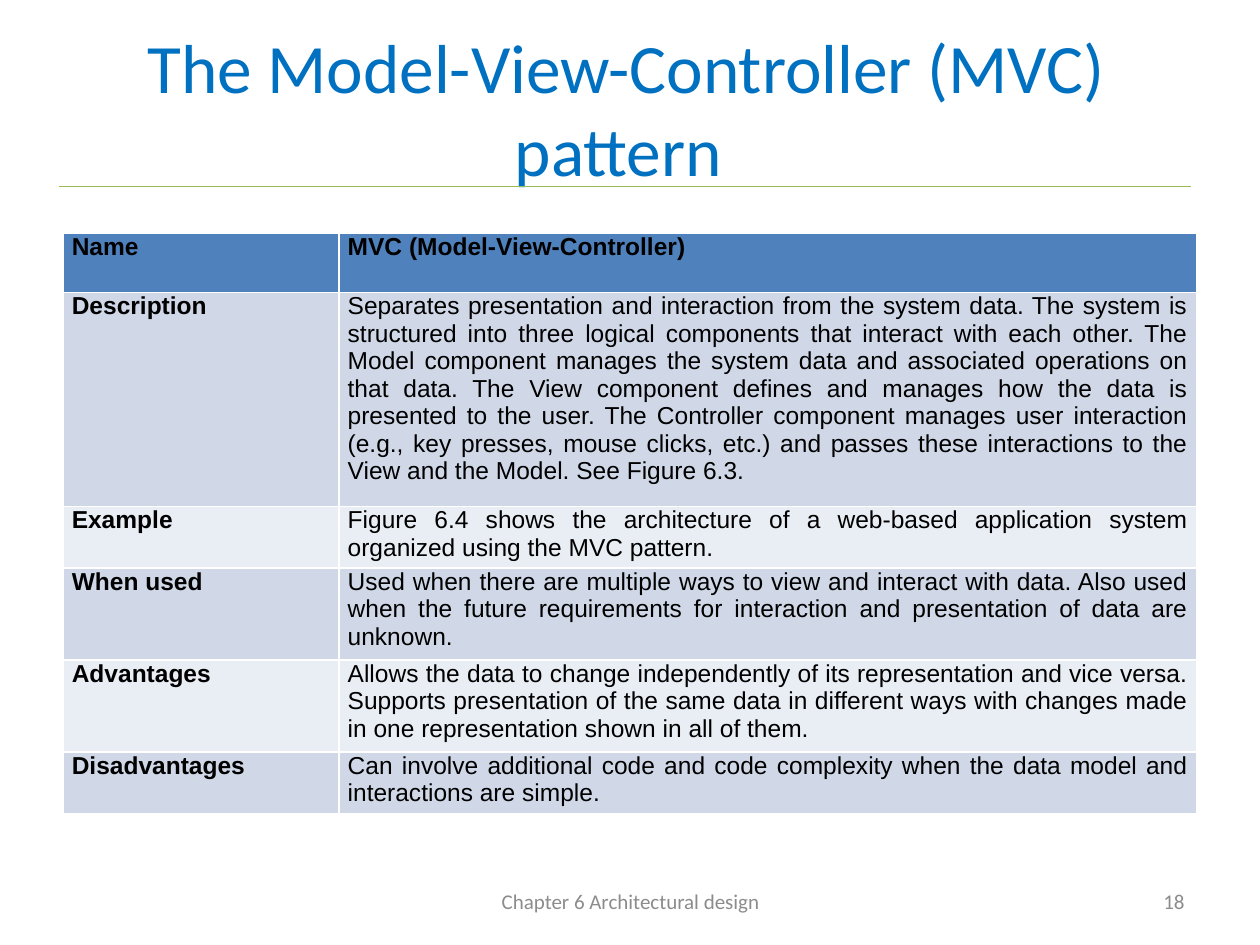
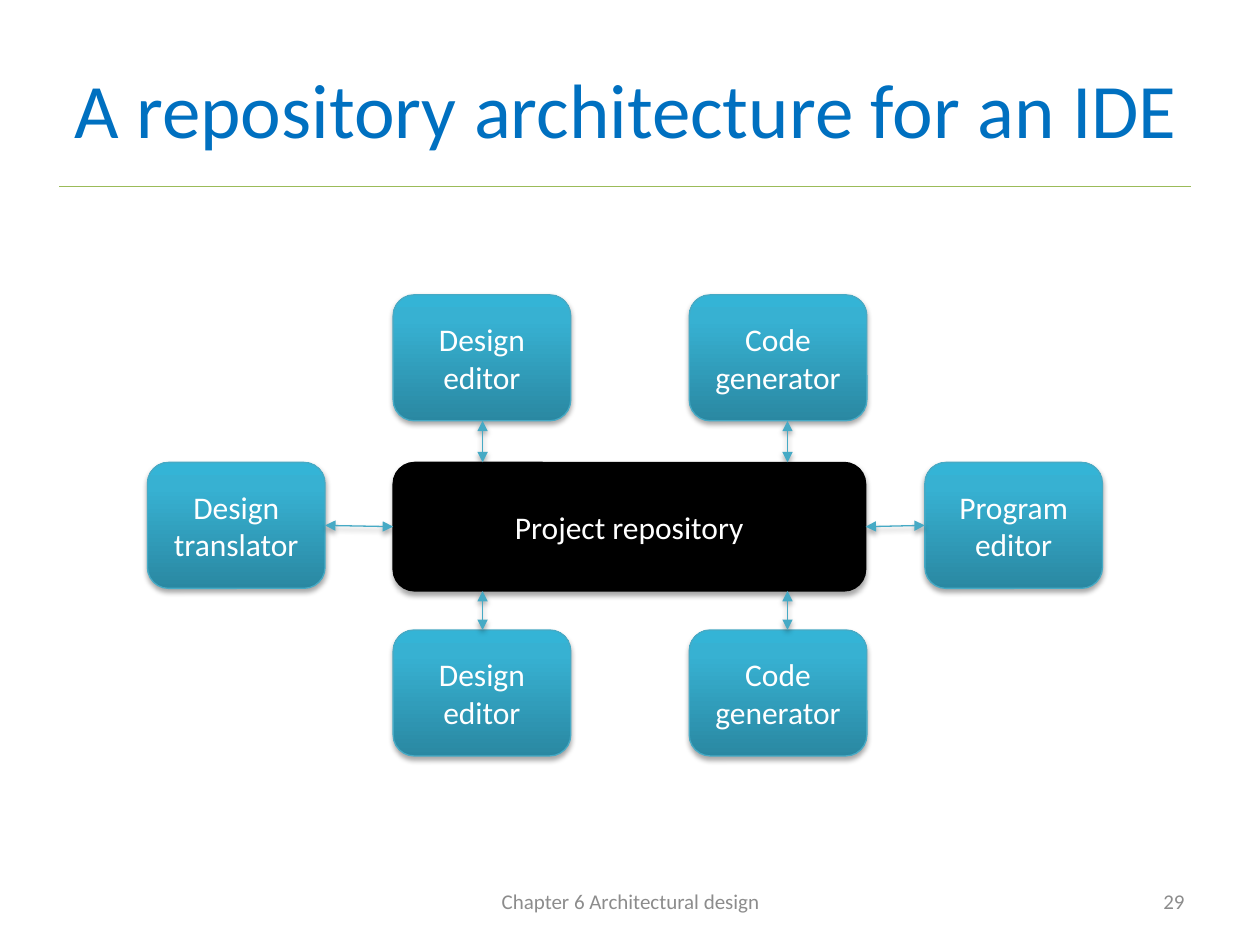
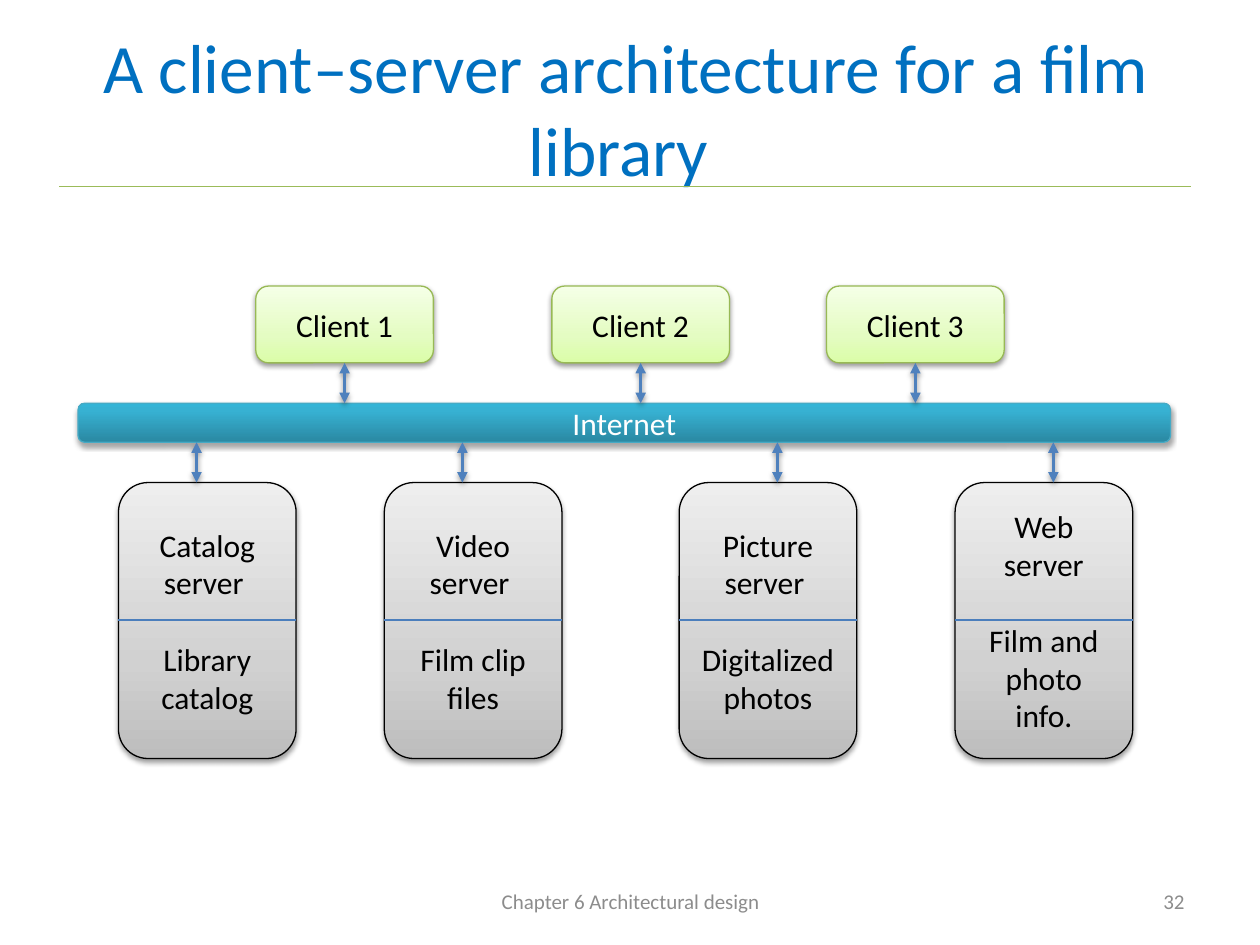
from pptx import Presentation
from pptx.dml.color import RGBColor
from pptx.enum.shapes import MSO_CONNECTOR, MSO_SHAPE
from pptx.enum.text import MSO_ANCHOR, MSO_AUTO_SIZE, PP_ALIGN
from pptx.oxml import parse_xml
from pptx.oxml.ns import nsdecls, qn
from pptx.util import Inches, Pt

ROUND_RECT = MSO_SHAPE.ROUNDED_RECTANGLE
STRAIGHT = MSO_CONNECTOR.STRAIGHT
MIDDLE = MSO_ANCHOR.MIDDLE
CENTER, RIGHT, JUSTIFY = PP_ALIGN.CENTER, PP_ALIGN.RIGHT, PP_ALIGN.JUSTIFY
TITLE_ONLY = 5


class Theme:
    FONT, TABLE_FONT = "Calibri", "Arial"
    TITLE, TITLE_TIGHT, BODY, TABLE, FOOTER = 44, 39.6, 18, 14, 12
    TITLE_COLOR, FOOTER_COLOR, RULE = "0070C0", "8C8C8C", "9BBB59"
    BLACK, WHITE = "000000", "FFFFFF"
    HEADER, BANDS = "4F81BD", ("D0D8E8", "E9EDF4")
    THIN, THICK = 0.75, 2
    # shadow: opacity in percent, distance in points
    STRONG, SOFT = (35, 1.8), (38, 1.6)
    TEAL_LINE, BLUE_LINE, DIVIDER = "46AAC5", "4F81BD", "4B7EBC"
    # gradient stops run from the bottom edge to the top edge
    TEAL = dict(fill=[(0, "2A88A2"), (80, "37B1D2"), (100, "34B4D6")],
                line=TEAL_LINE, color=WHITE, shadow=STRONG)
    DARK = dict(fill=BLACK, line=BLACK, color=WHITE, shadow=STRONG)
    GREEN = dict(fill=[(0, "DAFDA7"), (35, "E4FCC2"), (100, "F5FFE7")],
                 line="98B955", color=BLACK, shadow=SOFT)
    GRAY = dict(fill=[(0, "BDBDBD"), (35, "D1D1D1"), (100, "EEEEEE")],
                line=BLACK, color=BLACK, shadow=SOFT)


FOOTER = "Chapter 6 Architectural design"

MVC_ROWS = [
    ("Name", "MVC (Model-View-Controller)", 0.47),
    ("Description",
     "Separates presentation and interaction from the system data. The system is structured "
     "into three logical components that interact with each other. The Model component manages "
     "the system data and associated operations on that data. The View component defines and "
     "manages how the data is presented to the user. The Controller component manages user "
     "interaction (e.g., key presses, mouse clicks, etc.) and passes these interactions to the "
     "View and the Model. See Figure 6.3.", 1.7),
    ("Example",
     "Figure 6.4 shows the architecture of a web-based application system organized using the "
     "MVC pattern.", 0.49),
    ("When used",
     "Used when there are multiple ways to view and interact with data. Also used when the "
     "future requirements for interaction and presentation of data are unknown. ", 0.73),
    ("Advantages",
     "Allows the data to change independently of its representation and vice versa. Supports "
     "presentation of the same data in different ways with changes made in one representation "
     "shown in all of them. ", 0.73),
    ("Disadvantages",
     "Can involve additional code and code complexity when the data model and interactions are "
     "simple.", 0.49),
]
MVC_COLUMNS = (2.19, 6.81)

# tool, left edge, arrow position
STACKED_TOOLS = [("Design editor", 3.12, 3.83), ("Code generator", 5.47, 6.25)]
LEFT_TOOL, RIGHT_TOOL = ("Design translator", 1.17), ("Program editor", 7.34)
REPOSITORY = (3.12, 3.67, 3.75, 1.02)

CLIENTS = [("Client 1", 2.03), ("Client 2", 4.38), ("Client 3", 6.56)]
# server, its data, left edge, arrow position
SERVERS = [
    ("Catalog server ", "Library catalog", 0.94, 1.56),
    ("Video server ", "Film clip files", 3.05, 3.67),
    ("Picture server ", "Digitalized photos", 5.39, 6.17),
    ("Web server", "Film and photo info.", 7.58, 8.36),
]
INTERNET = (0.62, 3.2, 8.67, 0.31)
BOX_W = 1.41


def rgb(value):
    return RGBColor.from_string(value)


def write(p, text, size, color, align=CENTER, font=Theme.FONT, bold=False):
    p.alignment = align
    r = p.add_run()
    r.text = text
    for name, value in dict(name=font, size=Pt(size), bold=bold).items():
        setattr(r.font, name, value)
    r.font.color.rgb = rgb(color)


def add_shadow(sp, opacity, distance):
    sp.element.spPr.append(parse_xml(
        f'<a:effectLst {nsdecls("a")}><a:outerShdw blurRad="{Pt(3.1)}" dist="{Pt(distance)}" '
        f'dir="5400000" rotWithShape="0"><a:srgbClr val="{Theme.BLACK}">'
        f'<a:alpha val="{opacity * 1000}"/></a:srgbClr></a:outerShdw></a:effectLst>'))


def paint(sp, fill):
    """Fill with one colour, or with a vertical gradient given as stops."""
    if isinstance(fill, str):
        sp.fill.solid()
        sp.fill.fore_color.rgb = rgb(fill)
        return
    sp.fill.gradient()
    sp.fill.gradient_angle = 90
    stops = sp.element.spPr.find(qn("a:gradFill")).find(qn("a:gsLst"))
    stops[:] = [parse_xml(f'<a:gs {nsdecls("a")} pos="{pos * 1000}">'
                          f'<a:srgbClr val="{color}"/></a:gs>') for pos, color in fill]


def add_box(slide, box, paragraphs, style):
    sp = slide.shapes.add_shape(ROUND_RECT, *map(Inches, box))
    paint(sp, style["fill"])
    sp.line.color.rgb = rgb(style["line"])
    sp.line.width = Pt(Theme.THIN)
    add_shadow(sp, *style["shadow"])
    tf = sp.text_frame
    tf.word_wrap, tf.vertical_anchor = True, MIDDLE
    for i, text in enumerate(paragraphs):
        p = tf.add_paragraph() if i else tf.paragraphs[0]
        p.space_before = Pt(22 if i else 0)
        write(p, text, Theme.BODY, style["color"])


def add_line(slide, start, end, color, width=Theme.THIN):
    line = slide.shapes.add_connector(STRAIGHT, *map(Inches, (*start, *end)))
    line.line.color.rgb = rgb(color)
    line.line.width = Pt(width)
    return line


def add_arrow(slide, start, end, color, width, shadow):
    """Draw a shadowed line with a head at both ends."""
    line = add_line(slide, start, end, color, width)
    ln = line.element.spPr.find(qn("a:ln"))
    for tag in ("headEnd", "tailEnd"):
        ln.append(parse_xml(f'<a:{tag} {nsdecls("a")} type="triangle"/>'))
    add_shadow(line, *shadow)


def add_plain_line(slide, start, end, color):
    line = add_line(slide, start, end, color)
    line.element.spPr.append(parse_xml(f'<a:effectLst {nsdecls("a")}/>'))


def add_footer(slide, box, text, align):
    tf = slide.shapes.add_textbox(*map(Inches, box)).text_frame
    tf.word_wrap, tf.vertical_anchor = True, MIDDLE
    write(tf.paragraphs[0], text, Theme.FOOTER, Theme.FOOTER_COLOR, align)


def new_slide(prs, title, number, size):
    """Add a slide with the shared rule, title and footers."""
    slide = prs.slides.add_slide(prs.slide_layouts[TITLE_ONLY])
    add_plain_line(slide, (0.47, 1.48), (9.45, 1.48), Theme.RULE)
    sp = slide.shapes.title
    frame = dict(left=0.47, top=0.23, width=9, height=1.25)
    for name, value in frame.items():
        setattr(sp, name, Inches(value))
    tf = sp.text_frame
    tf.word_wrap, tf.auto_size, tf.vertical_anchor = True, MSO_AUTO_SIZE.NONE, MIDDLE
    write(tf.paragraphs[0], title, size, Theme.TITLE_COLOR)
    add_footer(slide, (3.42, 6.95, 3.17, 0.4), FOOTER, CENTER)
    add_footer(slide, (7.17, 6.95, 2.33, 0.4), str(number), RIGHT)
    return slide


def mvc_slide(prs):
    slide = new_slide(prs, "The Model-View-Controller (MVC) pattern ", 18, Theme.TITLE_TIGHT)
    height = sum(row[-1] for row in MVC_ROWS)
    table = slide.shapes.add_table(
        len(MVC_ROWS), len(MVC_COLUMNS),
        *map(Inches, (0.5, 1.85, sum(MVC_COLUMNS), height))).table
    for column, width in zip(table.columns, MVC_COLUMNS):
        column.width = Inches(width)
    margins = dict(margin_left=0.07, margin_right=0.07, margin_top=0, margin_bottom=0)
    for i, (*texts, row_height) in enumerate(MVC_ROWS):
        table.rows[i].height = Inches(row_height)
        for j, text in enumerate(texts):
            cell = table.cell(i, j)
            for name, value in margins.items():
                setattr(cell, name, Inches(value))
            cell.fill.solid()
            cell.fill.fore_color.rgb = rgb(Theme.BANDS[(i - 1) % 2] if i else Theme.HEADER)
            write(cell.text_frame.paragraphs[0], text, Theme.TABLE, Theme.BLACK,
                  JUSTIFY, Theme.TABLE_FONT, bold=i == 0 or j == 0)


def repository_slide(prs):
    slide = new_slide(prs, "A repository architecture for an IDE ", 29, Theme.TITLE)
    left, top, width, height = REPOSITORY
    right, bottom = left + width, top + height
    tool_h, pitch = 1, 1.33
    upper, lower = top - pitch, top + pitch
    arrow = (Theme.TEAL_LINE, Theme.THIN, Theme.STRONG)

    add_box(slide, REPOSITORY, ["Project repository"], Theme.DARK)
    tools = [(name, x, y) for y in (upper, lower) for name, x, _ in STACKED_TOOLS]
    tools += [(*LEFT_TOOL, top), (*RIGHT_TOOL, top)]
    for name, x, y in tools:
        add_box(slide, (x, y, BOX_W, tool_h), [name], Theme.TEAL)
    for _, _, x in STACKED_TOOLS:
        add_arrow(slide, (x, upper + tool_h), (x, top), *arrow)
        add_arrow(slide, (x, bottom), (x, lower), *arrow)
    tool_mid, mid = top + tool_h / 2, top + height / 2
    add_arrow(slide, (LEFT_TOOL[1] + BOX_W, tool_mid), (left, mid), *arrow)
    add_arrow(slide, (RIGHT_TOOL[1], tool_mid), (right, mid), *arrow)


def client_server_slide(prs):
    slide = new_slide(prs, "A client–server architecture for a film library ", 32,
                      Theme.TITLE_TIGHT)
    _, top, _, height = INTERNET
    bottom = top + height
    client_top, client_h = 2.27, 0.61
    server_top, server_h, divider_y = 3.83, 2.19, 4.92
    arrow = (Theme.BLUE_LINE, Theme.THICK, Theme.SOFT)

    add_box(slide, INTERNET, ["Internet"], Theme.TEAL)
    for name, x in CLIENTS:
        add_box(slide, (x, client_top, BOX_W, client_h), [name], Theme.GREEN)
        center = x + BOX_W / 2
        add_arrow(slide, (center, client_top + client_h), (center, top), *arrow)
    for name, data, x, arrow_x in SERVERS:
        add_box(slide, (x, server_top, BOX_W, server_h), [name, data], Theme.GRAY)
        add_plain_line(slide, (x, divider_y), (x + BOX_W, divider_y), Theme.DIVIDER)
        add_arrow(slide, (arrow_x, bottom), (arrow_x, server_top), *arrow)


def main():
    prs = Presentation()
    prs.slide_width, prs.slide_height = Inches(10), Inches(7.5)
    for build in (mvc_slide, repository_slide, client_server_slide):
        build(prs)
    prs.save("out.pptx")


if __name__ == "__main__":
    main()
